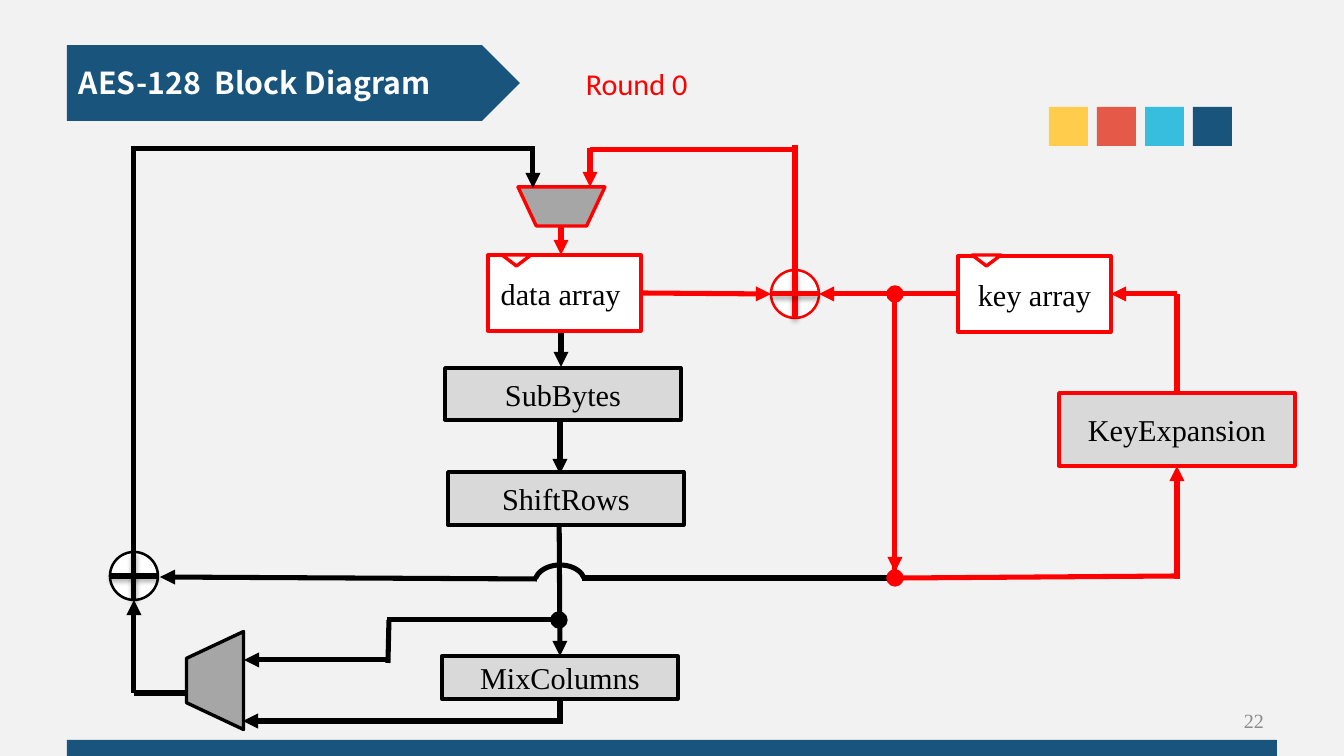
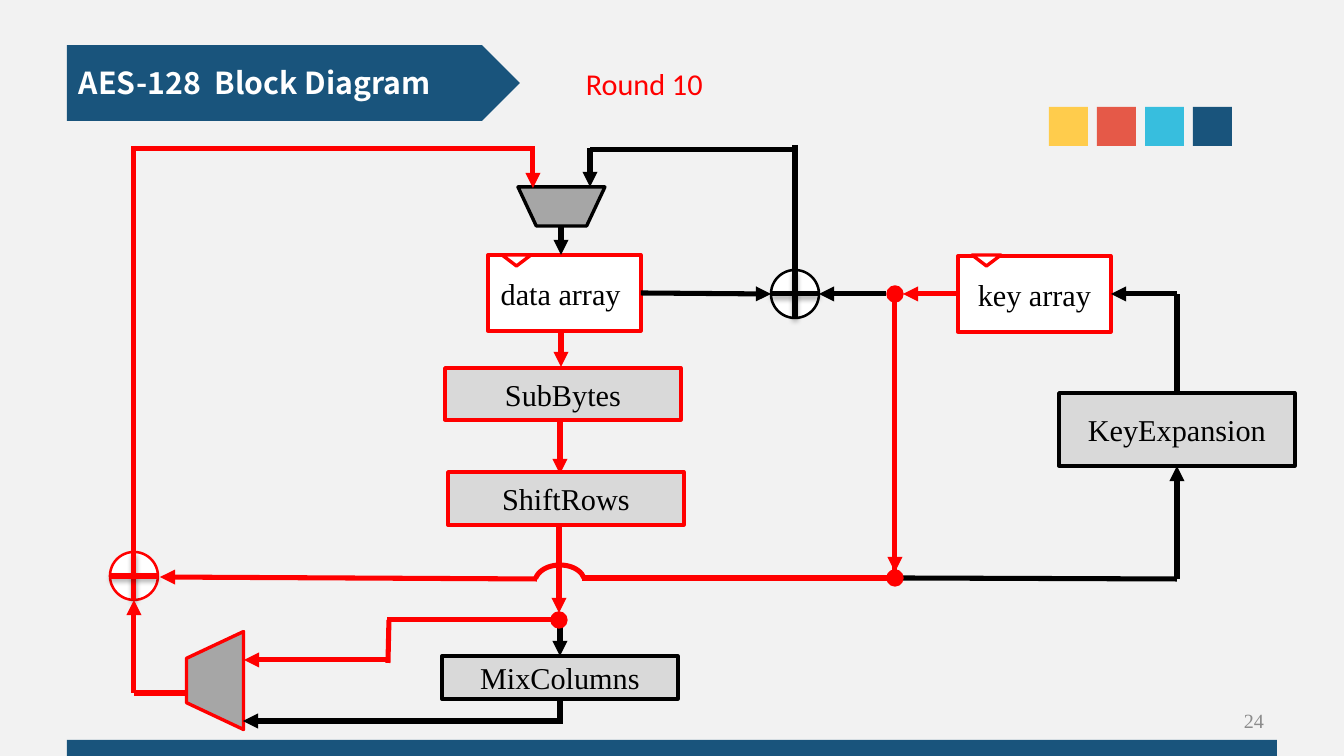
from lxml import etree
from pptx import Presentation
from pptx.dml.color import RGBColor
from pptx.enum.shapes import MSO_CONNECTOR, MSO_SHAPE
from pptx.enum.text import MSO_ANCHOR, MSO_AUTO_SIZE, PP_ALIGN
from pptx.oxml.ns import qn
from pptx.util import Pt

RECT, ARC = MSO_SHAPE.RECTANGLE, MSO_SHAPE.ARC
PENTAGON, TRAPEZOID = MSO_SHAPE.PENTAGON, MSO_SHAPE.TRAPEZOID
TRIANGLE, OVAL = MSO_SHAPE.ISOSCELES_TRIANGLE, MSO_SHAPE.OVAL
DOT = MSO_SHAPE.FLOWCHART_CONNECTOR
STRAIGHT = MSO_CONNECTOR.STRAIGHT
LEFT, CENTER, RIGHT = PP_ALIGN.LEFT, PP_ALIGN.CENTER, PP_ALIGN.RIGHT
MIDDLE, TOP = MSO_ANCHOR.MIDDLE, MSO_ANCHOR.TOP
GROW = MSO_AUTO_SIZE.SHAPE_TO_FIT_TEXT

PX = 914400 / 121
SIDES = {"top": 0, "left": 1, "bottom": 2, "right": 3}
COLORS = {
    "page": "F2F2F2", "navy": "19547C", "yellow": "FFCC4C", "coral": "E55948",
    "cyan": "37BEDE", "white": "FFFFFF", "black": "000000", "red": "FF0000",
    "light": "D9D9D9", "gray": "A6A6A6", "number": "8C8C8C",
}
SERIF, SANS, TITLE_FONT = "Times New Roman", "Calibri", "Noto Sans CJK SC"
TITLE = "AES-128  Block Diagram"
SWATCHES = ["yellow", "coral", "cyan", "navy"]

# Each part belongs to a path: start (first key addition), loop (round
# steps), key (key supply) or mix (column mixing). Active paths are red.
# Wire: path, start, end, arrow, and the box sides joined at start and end.
CHAIN_WIRES = [
    ("loop", (560, 375), (560, 474), True),
    ("mix", (560, 724), (560, 699), False, None, ("MixColumns", "bottom")),
    ("key", (895, 571), (895, 287), False),
    ("loop", (561, 294), (561, 367), True),
]
BOXES = [
    ("loop", "ShiftRows", (448, 472, 236, 53), "light"),
    ("mix", "MixColumns", (442, 656, 236, 43), "light"),
    ("loop", "SubBytes", (445, 368, 236, 52), "light"),
    ("key", "data array ", (488, 255, 153, 76), "white"),
    ("start", "KeyExpansion", (1059, 393, 236, 73), "light"),
    ("key", "key array", (958, 256, 153, 76), "white"),
]
CLOCK_MARKS = [(502, 255, 29, 11), (972, 255, 29, 11)]
MUXES = [("start", (518, 187, 87, 39), 0), ("loop", (166, 652, 98, 57), 90)]
ADDERS = [("start", (795, 294)), ("loop", (134, 576))]
ADDER_RADIUS = 24
BRIDGE = (535, 565, 50, 35)
WIRES = [
    ("start", (641, 293), (771, 294), True, ("data array ", "right")),
    ("start", (795, 145), (795, 270), False),
    ("start", (795, 150), (590, 150), False),
    ("start", (590, 148), (590, 187), True),
    ("start", (1177, 294), (1111, 294), True, None, ("key array", "right")),
    ("start", (1177, 393), (1177, 294), False, ("KeyExpansion", "top")),
    ("start", (1177, 579), (1177, 466), True, None, ("KeyExpansion", "bottom")),
    ("start", (561, 227), (561, 255), True),
    ("loop", (537, 579), (160, 577), True),
    ("loop", (888, 578), (582, 578), False),
    ("loop", (558, 620), (387, 620), False),
    ("loop", (186, 693), (134, 693), False),
    ("loop", (134, 693), (134, 600), True),
    ("loop", (134, 146), (134, 553), False),
    ("loop", (535, 149), (134, 149), False),
    ("loop", (533, 149), (533, 188), True),
    ("loop", (388, 663), (389, 620), False),
    ("loop", (389, 660), (244, 660), True),
    ("mix", (561, 721), (243, 721), True),
    ("key", (895, 477), (895, 572), True),
]
DOTS = [("key", (895, 294)), ("loop", (559, 620)), ("key", (895, 578))]
DOT_RADIUS = 7

ROUNDS = [
    {"label": "Round 0", "label_width": 132, "number": "22",
     "active": {"start", "key"},
     "wires": [
         ("loop", (559, 493), (560, 656), True, None, ("MixColumns", "top")),
         ("key", (958, 294), (819, 294), True, ("key array", "left")),
         ("start", (1177, 576), (903, 578), False),
     ]},
    {"label": "Round 10", "label_width": 198, "number": "24",
     "active": {"loop", "key"},
     "wires": [
         ("mix", (560, 616), (560, 656), True, None, ("MixColumns", "top")),
         ("loop", (559, 493), (559, 613), True),
         ("key", (958, 294), (903, 294), True, ("key array", "left")),
         ("start", (886, 294), (819, 294), True),
         ("start", (1177, 579), (903, 578), False),
     ]},
]


def emu(*lengths):
    return [round(length * PX) for length in lengths]


def rgb(name):
    return RGBColor.from_string(COLORS[name])


def around(center, radius):
    x, y = center
    return x - radius, y - radius, 2 * radius, 2 * radius


def add_part(page, kind, place, fill=None, line=None, width=2, flip=False):
    part = page.shapes.add_shape(kind, *emu(*place))
    part.shadow.inherit = False
    if fill:
        part.fill.solid()
        part.fill.fore_color.rgb = rgb(fill)
    else:
        part.fill.background()
    if line:
        part.line.color.rgb = rgb(line)
        part.line.width = Pt(width)
    else:
        part.line.fill.background()
    if flip:
        part.element.spPr.find(qn("a:xfrm")).set("flipV", "1")
    return part


def write(frame, text, font, size, color, align=LEFT, anchor=TOP, bold=False):
    frame.vertical_anchor = anchor
    para = frame.paragraphs[0]
    para.alignment = align
    span = para.add_run()
    span.text = text
    span.font.name = font
    span.font.size = Pt(size)
    span.font.bold = bold
    span.font.color.rgb = rgb(color)


def add_label(page, place, *style, wrap=True, grow=True, **options):
    frame = page.shapes.add_textbox(*emu(*place)).text_frame
    frame.word_wrap = wrap
    if grow:
        frame.auto_size = GROW
    write(frame, *style, **options)


def add_wire(page, start, end, color, arrow=False, shadow=False):
    wire = page.shapes.add_connector(STRAIGHT, *emu(*start, *end))
    wire.line.color.rgb = rgb(color)
    wire.line.width = Pt(3)
    properties = wire.element.spPr
    if arrow:
        outline = properties.find(qn("a:ln"))
        etree.SubElement(outline, qn("a:tailEnd"), type="triangle")
    effects = etree.SubElement(properties, qn("a:effectLst"))
    if shadow:
        cast = etree.SubElement(effects, qn("a:outerShdw"), blurRad="40000",
                                dist="23000", dir="5400000", rotWithShape="0")
        shade = etree.SubElement(cast, qn("a:srgbClr"), val=COLORS["black"])
        etree.SubElement(shade, qn("a:alpha"), val="35000")
    return wire


def add_adder(page, center, color):
    """Circle with a shadowed cross, the sign for exclusive or."""
    x, y = center
    reach = ADDER_RADIUS
    add_part(page, OVAL, around(center, reach), "white", color, 1.5)
    add_wire(page, (x, y - reach), (x, y + reach), color, shadow=True)
    add_wire(page, (x - reach, y), (x + reach, y), color, shadow=True)


def add_frame(page, round_):
    """Title band, colour swatches, footer bar and page number."""
    page.background.fill.solid()
    page.background.fill.fore_color.rgb = rgb("page")
    add_part(page, PENTAGON, (67, 45, 453, 76), "navy")
    add_label(page, (67, 58, 405, 48), TITLE, TITLE_FONT, 18, "white",
              wrap=False, bold=True)
    add_part(page, RECT, (67, 740, 1210, 19), "navy")
    for index, color in enumerate(SWATCHES):
        add_part(page, RECT, (1049 + 48 * index, 107, 39, 39), color)
    add_label(page, (963, 701, 313, 40), round_["number"], SERIF, 12, "number",
              align=RIGHT, anchor=MIDDLE, grow=False)
    add_label(page, (574, 59, round_["label_width"], 48), round_["label"],
              SANS, 18, "red")


def add_diagram(page, round_):
    boxes, joins = {}, []

    def color_of(path_name):
        return "red" if path_name in round_["active"] else "black"

    def add_wires(wires):
        for path_name, start, end, arrow, *ends in wires:
            wire = add_wire(page, start, end, color_of(path_name), arrow)
            joins.extend(zip((wire.begin_connect, wire.end_connect), ends))

    add_wires(round_["wires"] + CHAIN_WIRES)
    for path_name, name, place, fill in BOXES:
        box = add_part(page, RECT, place, fill, color_of(path_name))
        write(box.text_frame, name, SERIF, 18, "black", CENTER, MIDDLE)
        boxes[name] = box
    for place in CLOCK_MARKS:
        add_part(page, TRIANGLE, place, "white", color_of("key"), flip=True)
    for path_name, place, turn in MUXES:
        mux = add_part(page, TRAPEZOID, place, "gray", color_of(path_name),
                       flip=True)
        mux.adjustments[0] = 0.47
        mux.rotation = turn
    for path_name, center in ADDERS:
        add_adder(page, center, color_of(path_name))
    bridge = add_part(page, ARC, BRIDGE, line=color_of("loop"), width=3)
    bridge.adjustments[0] = 113.55
    bridge.adjustments[1] = 209.75
    add_wires(WIRES)
    for path_name, center in DOTS:
        color = color_of(path_name)
        add_part(page, DOT, around(center, DOT_RADIUS), color, color)
    for connect, target in joins:
        if target:
            name, side = target
            connect(boxes[name], SIDES[side])


def main():
    deck = Presentation()
    deck.slide_width, deck.slide_height = emu(1344, 756)
    for round_ in ROUNDS:
        page = deck.slides.add_slide(deck.slide_layouts[6])
        add_frame(page, round_)
        add_diagram(page, round_)
    deck.save("out.pptx")


if __name__ == "__main__":
    main()
